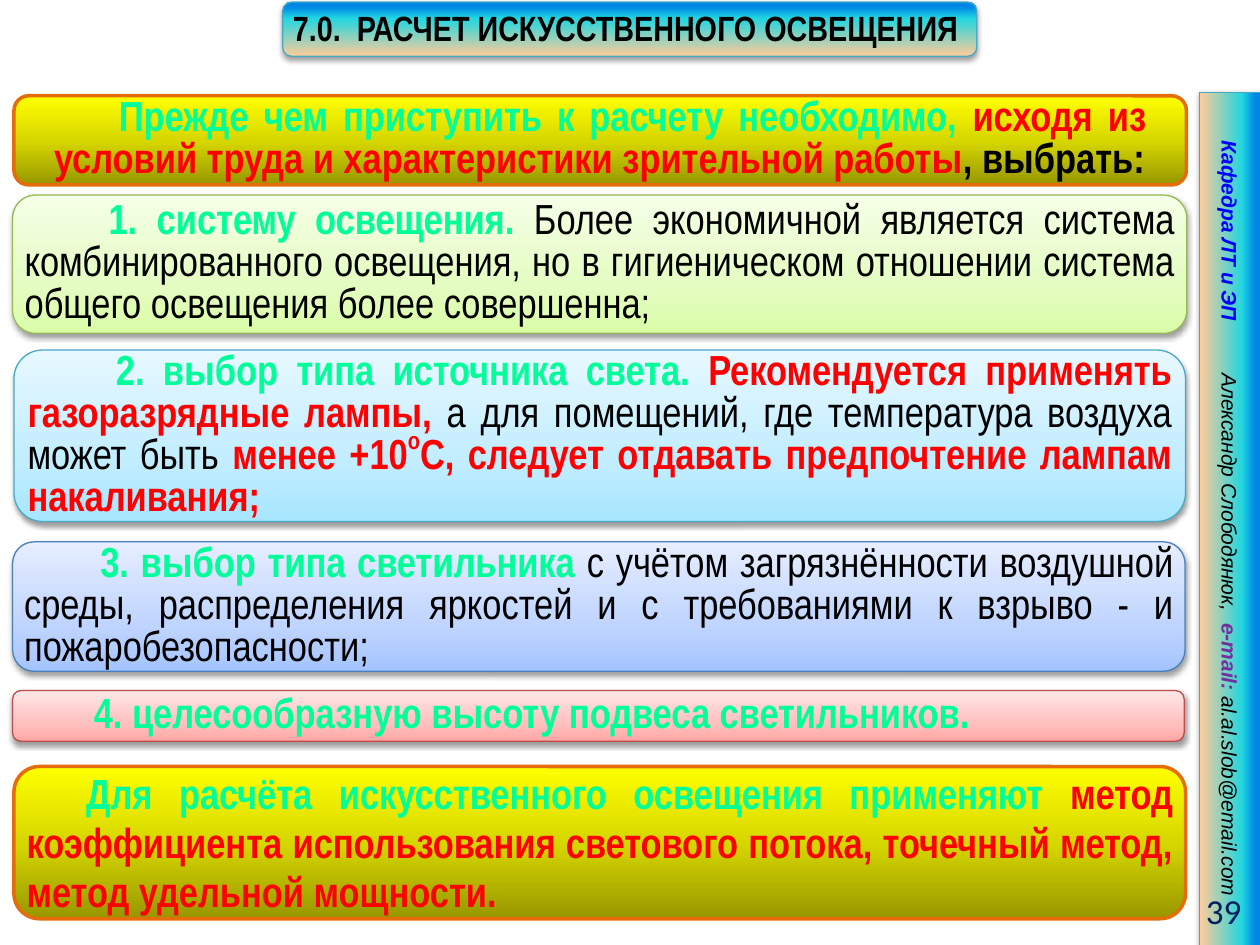
from copy import deepcopy

from lxml import etree
from pptx import Presentation
from pptx.dml.color import RGBColor
from pptx.enum.shapes import MSO_SHAPE
from pptx.enum.text import MSO_ANCHOR, MSO_AUTO_SIZE, PP_ALIGN
from pptx.oxml.ns import qn
from pptx.util import Pt

ROUND, RECT = MSO_SHAPE.ROUNDED_RECTANGLE, MSO_SHAPE.RECTANGLE
MIDDLE, FIXED = MSO_ANCHOR.MIDDLE, MSO_AUTO_SIZE.NONE
LEFT, CENTER = PP_ALIGN.LEFT, PP_ALIGN.CENTER
RIGHT, JUST = PP_ALIGN.RIGHT, PP_ALIGN.JUSTIFY

BLACK = RGBColor(0x00, 0x00, 0x00)
RED = RGBColor(0xFF, 0x00, 0x00)
MINT = RGBColor(0x00, 0xFF, 0x99)
BLUE = RGBColor(0x00, 0x00, 0xFF)
PURPLE = RGBColor(0x70, 0x30, 0xA0)
NAVY = RGBColor(0x00, 0x20, 0x60)
ORANGE = RGBColor(0xE4, 0x6C, 0x0A)
TEAL = RGBColor(0x46, 0xAA, 0xC5)
OLIVE = RGBColor(0x98, 0xB9, 0x55)
STEEL = RGBColor(0x4B, 0x7E, 0xBC)
BRICK = RGBColor(0xBF, 0x4C, 0x48)
SEA = [(0, RGBColor(0xFF, 0xCC, 0x99)), (0.7, RGBColor(0x21, 0xD6, 0xE0)),
       (0.91, RGBColor(0x00, 0x87, 0xE6))]
GOLD = [(0, RGBColor(0x97, 0x97, 0x00)), (0.5, RGBColor(0xD7, 0xD7, 0x00)),
        (1, RGBColor(0xFF, 0xFF, 0x00))]
LIME = [(0, RGBColor(0xDA, 0xFD, 0xA7)), (0.35, RGBColor(0xE4, 0xFC, 0xC2)),
        (1, RGBColor(0xF5, 0xFF, 0xE7))]
SKY = [(0, RGBColor(0xA7, 0xE6, 0xFF)), (0.35, RGBColor(0xC1, 0xED, 0xFF)),
       (1, RGBColor(0xE7, 0xF8, 0xFF))]
ICE = [(0, RGBColor(0xA4, 0xC4, 0xFF)), (0.35, RGBColor(0xBF, 0xD4, 0xFF)),
       (1, RGBColor(0xE6, 0xEE, 0xFF))]
ROSE = [(0, RGBColor(0xFF, 0xA6, 0xA5)), (0.35, RGBColor(0xFF, 0xC0, 0xBF)),
        (1, RGBColor(0xFF, 0xE7, 0xE7))]

NARROW = "Arial Narrow"
EDGES = {MINT: (1, 100), RED: (0.07, 55)}

PANELS = [
    ((8, 54.7, 670, 51), GOLD, ORANGE, 20.5, 37, 24, JUST, [
        ("Прежде чем приступить к расчету необходимо, ", MINT, True),
        ("исходя из условий труда и характеристики зрительной работы", RED, True),
        (", выбрать:", BLACK, True)]),
    ((7.2, 111.5, 671, 79), LIME, OLIVE, 3, 48, 24, JUST, [
        ("1. систему освещения. ", MINT, True),
        ("Более экономичной является система комбинированного освещения, "
         "но в гигиеническом отношении система общего освещения более "
         "совершенна;", BLACK, False)]),
    ((8, 200, 669.5, 98), SKY, TEAL, 3, 50.5, 24, JUST, [
        ("2. выбор типа источника света. ", MINT, True),
        ("Рекомендуется применять газоразрядные лампы, ", RED, True),
        ("а для помещений, где температура воздуха может быть ", BLACK, False),
        ("менее +10", RED, True),
        ("о", RED, True, 48),
        ("С, следует отдавать предпочтение лампам накаливания;", RED, True)]),
    ((7.2, 309.6, 670, 74), ICE, STEEL, 3, 43.5, 24, JUST, [
        ("3. выбор типа светильника ", MINT, True),
        ("с учётом загрязнённости воздушной среды, распределения яркостей "
         "и с требованиями к взрыво - и пожаробезопасности;", BLACK, False)]),
    ((7.2, 394.6, 669.5, 29), ROSE, BRICK, 3, 42, 24, LEFT, [
        ("4. целесообразную высоту подвеса светильников.", MINT, True)]),
    ((8, 438, 669.5, 87), GOLD, ORANGE, 3, 34, 28, JUST, [
        ("Для расчёта искусственного освещения применяют ", MINT, True),
        ("метод коэффициента использования светового потока, точечный "
         "метод, метод удельной мощности.", RED, True)]),
]


def place(shape, box):
    shape.left, shape.top, shape.width, shape.height = map(Pt, box)


def paint(shape, stops, line, width=0.75, shade=True):
    fill = shape.fill
    fill.gradient()
    fill.gradient_angle = 90
    marks = shape.element.spPr.find(".//" + qn("a:gsLst"))
    marks.append(deepcopy(marks[0]))
    for mark, (pos, color) in zip(fill.gradient_stops, stops):
        mark.position = pos
        mark.color.rgb = color
    shape.line.color.rgb = line
    shape.line.width = Pt(width)
    shape.shadow.inherit = False
    if shade:
        effects = shape.element.spPr.find(qn("a:effectLst"))
        cast = etree.SubElement(effects, qn("a:outerShdw"), blurRad="40000",
                                dist="20000", dir="5400000", rotWithShape="0")
        tint(cast, BLACK, 38)


def tint(parent, color, alpha):
    node = etree.SubElement(parent, qn("a:srgbClr"), val=str(color))
    if alpha < 100:
        etree.SubElement(node, qn("a:alpha"), val=str(alpha * 1000))


def frame(shape, side, wrap=True, edge=3):
    body = shape.text_frame
    body.auto_size = FIXED
    body.word_wrap = wrap
    body.vertical_anchor = MIDDLE
    body.margin_left = body.margin_right = Pt(side)
    body.margin_top = body.margin_bottom = Pt(edge)
    return body


def style(run, face, size, color, bold=False, italic=False):
    font = run.font
    font.name, font.size = face, Pt(size)
    font.bold, font.italic = bold, italic
    font.color.rgb = color


def rim(run, color):
    width, alpha = EDGES[color]
    line = etree.Element(qn("a:ln"), w=str(int(Pt(width))))
    tint(etree.SubElement(line, qn("a:solidFill")), BLACK, alpha)
    run.font._element.insert(0, line)


def strip(slide, box):
    shape = slide.shapes.add_shape(RECT, *map(Pt, box))
    shape.rotation = 90
    paint(shape, SEA, TEAL)
    body = frame(shape, 7)
    body.margin_left = Pt(27.5)
    para = body.paragraphs[0]
    para.alignment = LEFT
    tabs = etree.SubElement(para._p.get_or_add_pPr(), qn("a:tabLst"))
    etree.SubElement(tabs, qn("a:tab"), pos=str(int(Pt(133))), algn="l")
    for text, color, bold in [("Кафедра ЛТ и ЭП\t", BLUE, True),
                              ("Александр Слободянюк,  ", BLACK, False),
                              ("e-mail: ", PURPLE, True),
                              ("al.al.slob@email.com", BLACK, False)]:
        run = para.add_run()
        run.text = text
        style(run, "Arial", 12, color, bold, True)


def page(slide, box):
    shape = slide.shapes.add_textbox(*map(Pt, box))
    body = frame(shape, 7.2)
    body.text = "39"
    body.paragraphs[0].alignment = RIGHT
    style(body.paragraphs[0].runs[0], "Calibri", 20, NAVY)


def head(slide, box):
    plate = slide.shapes.add_shape(ROUND, *map(Pt, box))
    paint(plate, SEA, TEAL)
    title = slide.shapes.title
    plate.element.addnext(title.element)
    place(title, box)
    body = frame(title, 3, wrap=False)
    body.text = "7.0.  РАСЧЕТ ИСКУССТВЕННОГО ОСВЕЩЕНИЯ "
    para = body.paragraphs[0]
    para.alignment = CENTER
    para.line_spacing = Pt(22)
    style(para.runs[0], NARROW, 20, BLACK, True)


def panel(slide, box, stops, line, side, indent, pitch, align, parts):
    shape = slide.shapes.add_shape(ROUND, *map(Pt, box))
    gold = stops is GOLD
    paint(shape, stops, line, 2 if gold else 0.75, not gold)
    para = frame(shape, side).paragraphs[0]
    para.alignment = align
    para.line_spacing = Pt(pitch)
    para._p.get_or_add_pPr().set("indent", str(int(Pt(indent))))
    for text, color, bold, *lift in parts:
        run = para.add_run()
        run.text = text
        style(run, NARROW, 24, color, bold)
        if color in EDGES:
            rim(run, color)
        if lift:
            run.font._element.set("baseline", str(lift[0] * 1000))


def main():
    deck = Presentation()
    deck.slide_width, deck.slide_height = Pt(720), Pt(540)
    slide = deck.slides.add_slide(deck.slide_layouts[5])
    strip(slide, (459.2, 279.2, 487.4, 34.6))
    page(slide, (638, 506, 78.5, 29))
    head(slide, (161.5, 1.2, 396.7, 31))
    for row in PANELS:
        panel(slide, *row)
    deck.save("out.pptx")


if __name__ == "__main__":
    main()
